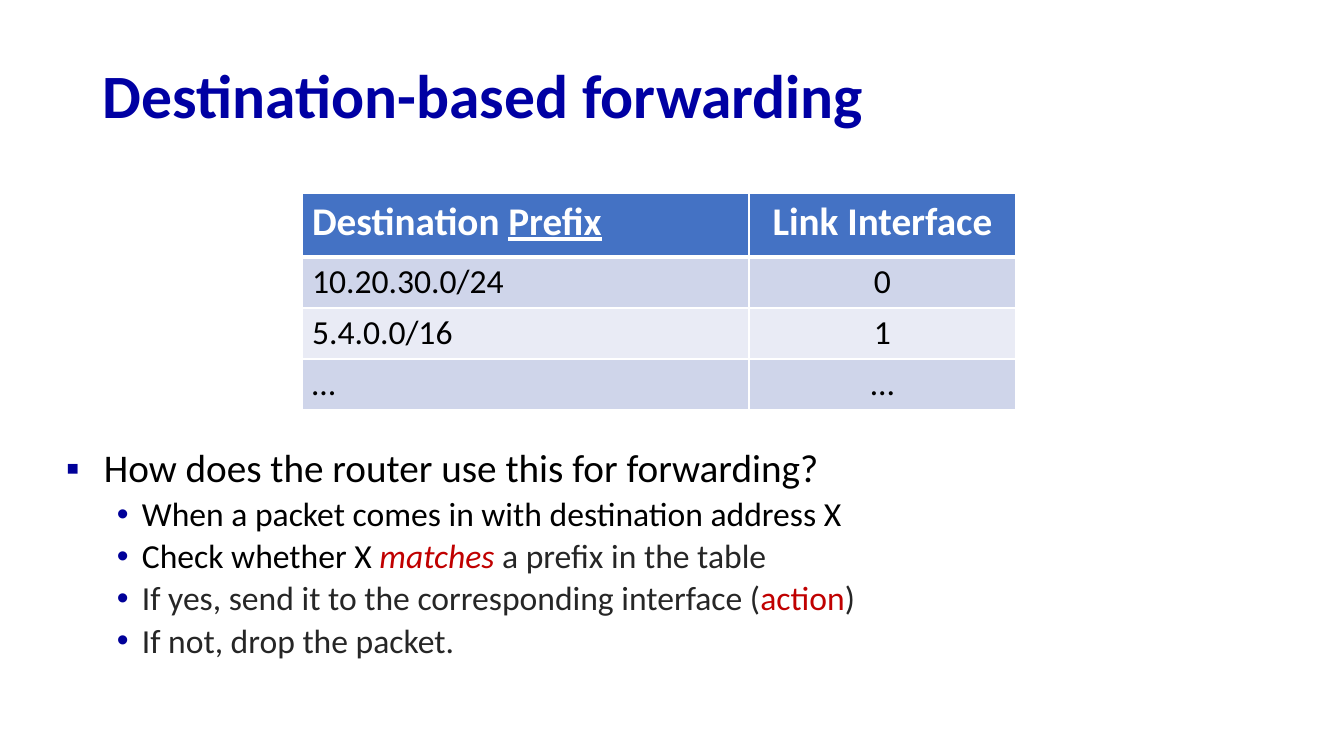
from lxml import etree
from pptx import Presentation
from pptx import util as u
from pptx.dml.color import RGBColor
from pptx.enum import text
from pptx.oxml import ns

PX = 9144000 / 1008
SLIDE = (1344, 756)
FONT = "Calibri"
WHITE, BLACK, DARK, RED = "FFFFFF", "000000", "262626", "C00000"
NAVY, BULLET = "0000A3", "000099"
HEADER, BANDS = "4472C4", ("CFD5EA", "E9EBF5")

TITLE_BOX = (93, 49, 1159, 99)
TITLE = [("Destination-based forwarding", {"size": 44, "color": NAVY, "bold": True})]

TABLE_AT = (302, 193)
COLUMNS = (447, 267)
HEADER_HEIGHT, ROW_HEIGHT = 64, 51
HEADINGS = [
    [("Destination ", {}), ("Prefix", {"underline": True})],
    [("Link Interface", {})],
]
ROUTES = [("10.20.30.0/24", "0"), ("5.4.0.0/16", "1"), ("…", "…")]

BODY_BOX = (56, 444, 1159, 266)
# For each level: bullet, text indent, hanging indent, size, space before
LEVELS = [("▪", 38, 38, 28, 0), ("•", 76, 25, 24, 4.3)]
BODY = [
    (0, [("How does the router use this for forwarding?", {})]),
    (1, [("When a packet comes in with destination address X", {})]),
    (1, [("Check whether X ", {}),
         ("matches ", {"color": RED, "italic": True}),
         ("a prefix in the table", {"color": DARK})]),
    (1, [("If yes, send it to the corresponding interface (", {"color": DARK}),
         ("action", {"color": RED}),
         (")", {"color": DARK})]),
    (1, [("If not, drop the packet.", {"color": DARK})]),
]


def px(n):
    return u.Emu(round(n * PX))


def rgb(value):
    return RGBColor.from_string(value)


def child(parent, tag, **attrs):
    return etree.SubElement(parent, ns.qn(tag), attrs)


def add_runs(p, runs, **base):
    for words, own in runs:
        r = p.add_run()
        r.text = words
        style = {"name": FONT, "color": BLACK, **base, **own}
        r.font.color.rgb = rgb(style.pop("color"))
        style["size"] = u.Pt(style["size"])
        for key, value in style.items():
            setattr(r.font, key, value)


def add_box(slide, box):
    tf = slide.shapes.add_textbox(*map(px, box)).text_frame
    tf.word_wrap = True
    return tf


def set_borders(cell, bottom):
    """Draw white cell edges; they must precede the fill in the cell XML."""
    tcPr = cell._tc.get_or_add_tcPr()
    for side, points in (("L", 1), ("R", 1), ("T", 1), ("B", bottom)):
        ln = child(tcPr, f"a:ln{side}", w=str(u.Pt(points)))
        child(child(ln, "a:solidFill"), "a:srgbClr", val=WHITE)


def fill_cell(cell, column, runs, fill, bottom=1, **base):
    set_borders(cell, bottom)
    cell.fill.solid()
    cell.fill.fore_color.rgb = rgb(fill)
    p = cell.text_frame.paragraphs[0]
    p.alignment = text.PP_ALIGN.CENTER if column else text.PP_ALIGN.LEFT
    add_runs(p, runs, **base)


def add_forwarding_table(slide):
    heights = [HEADER_HEIGHT] + [ROW_HEIGHT] * len(ROUTES)
    size = (sum(COLUMNS), sum(heights))
    table = slide.shapes.add_table(
        len(heights), len(COLUMNS), *map(px, TABLE_AT + size)).table
    for column, width in zip(table.columns, COLUMNS):
        column.width = px(width)
    for row, height in zip(table.rows, heights):
        row.height = px(height)
    for c, runs in enumerate(HEADINGS):
        fill_cell(table.cell(0, c), c, runs, HEADER, bottom=3,
                  size=28, color=WHITE, bold=True)
    for i, route in enumerate(ROUTES):
        for c, words in enumerate(route):
            fill_cell(table.cell(i + 1, c), c, [(words, {})], BANDS[i % 2],
                      size=24, bold=False)


def add_body(slide):
    tf = add_box(slide, BODY_BOX)
    for i, (level, runs) in enumerate(BODY):
        p = tf.add_paragraph() if i else tf.paragraphs[0]
        bullet, indent, hanging, size, before = LEVELS[level]
        pPr = p._p.get_or_add_pPr()
        pPr.set("marL", str(px(indent)))
        pPr.set("indent", str(-px(hanging)))
        child(child(pPr, "a:buClr"), "a:srgbClr", val=BULLET)
        child(pPr, "a:buFont", typeface="Arial")
        child(pPr, "a:buChar", char=bullet)
        p.level = level
        p.line_spacing = 0.9
        p.space_before = u.Pt(before)
        add_runs(p, runs, size=size)


def main():
    prs = Presentation()
    prs.slide_width, prs.slide_height = map(px, SLIDE)
    slide = prs.slides.add_slide(prs.slide_layouts[6])

    tf = add_box(slide, TITLE_BOX)
    tf.vertical_anchor = text.MSO_ANCHOR.MIDDLE
    tf.paragraphs[0].line_spacing = 0.9
    add_runs(tf.paragraphs[0], TITLE)

    add_forwarding_table(slide)
    add_body(slide)
    prs.save("out.pptx")


if __name__ == "__main__":
    main()
